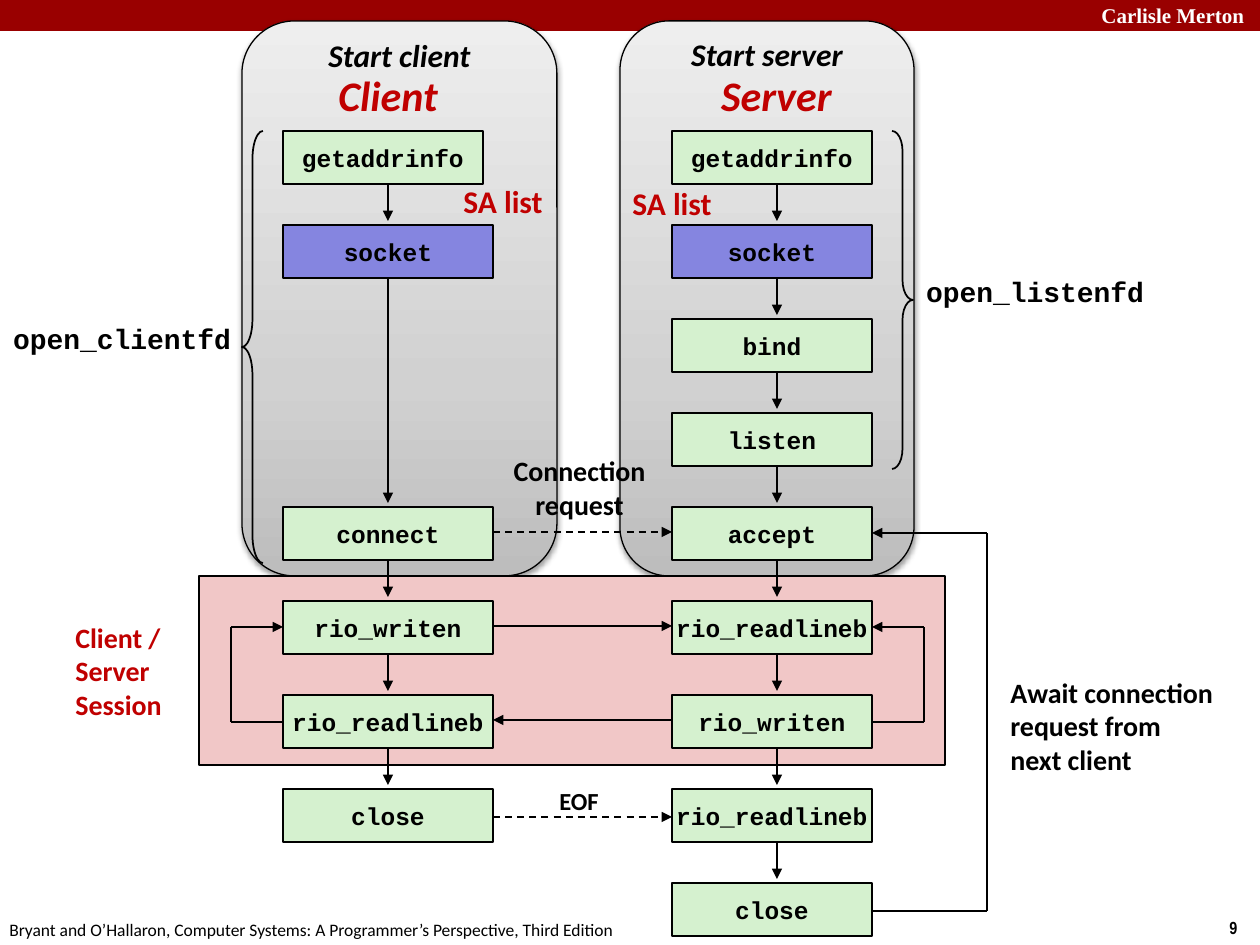
import copy
import itertools
import pptx
import pptx.dml.color
import pptx.enum.dml
import pptx.enum.shapes
import pptx.enum.text
import pptx.oxml.ns
import pptx.util
from lxml import etree

SCALE = 914400 / 126
HUES = {"black": "000000", "white": "FFFFFF", "banner": "990000", "red": "C00000",
        "pink": "F1C7C7", "green": "D5F1CF", "blue": "8585E0"}
SHADES = [(0, "BDBDBD"), (0.35, "D1D1D1"), (1, "EEEEEE")]
SHAPE = pptx.enum.shapes.MSO_SHAPE
ALIGN = pptx.enum.text.PP_ALIGN
ANCHOR = pptx.enum.text.MSO_ANCHOR
QN = pptx.oxml.ns.qn

TOP, STEP, HIGH = 131, 94, 53
CLIENT = {"left": 283, "width": 210, "mid": 388}
SERVER = {"left": 672, "width": 200, "mid": 777}
CALLS = [
    (CLIENT, {0: "getaddrinfo", 1: "socket", 4: "connect", 5: "rio_writen",
              6: "rio_readlineb", 7: "close"}),
    (SERVER, {0: "getaddrinfo", 1: "socket", 2: "bind", 3: "listen", 4: "accept",
              5: "rio_readlineb", 6: "rio_writen", 7: "rio_readlineb", 8: "close"}),
]


def px(count):
    return pptx.util.Emu(round(count * SCALE))


def tint(code):
    return pptx.dml.color.RGBColor.from_string(code)


def row(index):
    return TOP + index * STEP


def write(shape, text, size=16, font="Calibri", hue="black", bold=True, slant=False,
          align=ALIGN.CENTER, anchor=ANCHOR.MIDDLE, wrap=False):
    frame = shape.text_frame
    frame.text = text
    frame.word_wrap = wrap
    frame.vertical_anchor = anchor
    for line in frame.paragraphs:
        line.alignment = align
        style = line.font
        style.size, style.name = pptx.util.Pt(size), font
        style.bold, style.italic = bold, slant
        style.color.rgb = tint(HUES[hue])


def label(slide, text, left, top, width, height, **style):
    frame = slide.shapes.add_textbox(px(left), px(top), px(width), px(height))
    write(frame, text, **style)


def block(slide, kind, left, top, width, height, fill=None, line=1):
    shape = slide.shapes.add_shape(kind, px(left), px(top), px(width), px(height))
    shape.shadow.inherit = False
    if fill:
        shape.fill.solid()
        shape.fill.fore_color.rgb = tint(HUES[fill])
    else:
        shape.fill.background()
    if line:
        shape.line.color.rgb = tint(HUES["black"])
        shape.line.width = pptx.util.Pt(line)
    else:
        shape.line.fill.background()
    return shape


def panel(slide, text, left, width):
    """Rounded, shaded and shadowed column with its heading."""
    shape = block(slide, SHAPE.ROUNDED_RECTANGLE, left, 21, width, 555, line=0.75)
    shape.fill.gradient()
    shape.fill.gradient_angle = 90
    props = shape._element.spPr
    first = props.find(".//" + QN("a:gs"))
    first.addnext(copy.deepcopy(first))
    for stop, (place, code) in zip(shape.fill.gradient_stops, SHADES):
        stop.position = place
        stop.color.rgb = tint(code)
    shade = etree.SubElement(props.find(QN("a:effectLst")), QN("a:outerShdw"),
                             blurRad="40000", dist="20000", dir="5400000", rotWithShape="0")
    color = etree.SubElement(shade, QN("a:srgbClr"), val=HUES["black"])
    etree.SubElement(color, QN("a:alpha"), val="38000")
    write(shape, text, size=18, slant=True, anchor=ANCHOR.TOP, wrap=True)
    shape.text_frame.margin_top = 0


def link(slide, start, end, head=True, dash=False):
    line = slide.shapes.add_connector(pptx.enum.shapes.MSO_CONNECTOR.STRAIGHT,
                                      *map(px, start + end))
    line.line.color.rgb = tint(HUES["black"])
    line.line.width = pptx.util.Pt(1)
    if dash:
        line.line.dash_style = pptx.enum.dml.MSO_LINE.DASH
    if head:
        etree.SubElement(line.line._get_or_add_ln(), QN("a:tailEnd"), type="triangle")
    etree.SubElement(line._element.spPr, QN("a:effectLst"))


def loop(slide, edge, side, low, high):
    """Three lines that leave a box, run up at side, and point back to the edge."""
    points = [(edge, low), (side, low), (side, high), (edge, high)]
    for index, (start, end) in enumerate(itertools.pairwise(points)):
        link(slide, start, end, head=index == 2)


def chain(slide, lane, calls):
    """Boxes of one column, over the arrows that join them."""
    for start, end in itertools.pairwise(calls):
        link(slide, (lane["mid"], row(start) + 47), (lane["mid"], row(end) - 4))
    for index, name in calls.items():
        width = lane["width"] if index else SERVER["width"]
        box = block(slide, SHAPE.RECTANGLE, lane["left"], row(index), width, HIGH,
                    fill="blue" if name == "socket" else "green")
        write(box, name, size=14, font="Courier New")


def brace(slide, kind, left, height, bend):
    shape = block(slide, kind, left, TOP, 21, height)
    shape.adjustments[0] = bend


def frame(slide):
    """Banner and footer."""
    block(slide, SHAPE.RECTANGLE, 0, 0, 1260, 31, fill="banner", line=0)
    style = {"align": ALIGN.LEFT, "anchor": ANCHOR.TOP}
    label(slide, "Carlisle Merton", 1089, -4, 180, 38, size=12,
          font="Times New Roman", hue="white", **style)
    label(slide, "9", 1217, 911, 43, 34, size=10, font="Arial Narrow", **style)
    label(slide, "Bryant and O’Hallaron, Computer Systems: "
          "A Programmer’s Perspective, Third Edition",
          -3, 913, 640, 34, size=10, bold=False, **style)


def notes(slide):
    """Labels around the boxes."""
    for text, left, width in (("Client", 325, 126), ("Server", 708, 137)):
        label(slide, text, left, 63, width, 63, size=24, hue="red", slant=True)
    for left, top in ((620, 178), (451, 176)):
        label(slide, "SA list", left, top, 106, 50, size=18, hue="red",
              align=ALIGN.LEFT, anchor=ANCHOR.TOP)
    for text, left, top in (("open_listenfd", 913, 268), ("open_clientfd", 0, 315)):
        label(slide, text, left, top, 244, 47, font="Courier New")
    label(slide, "Connection\nrequest", 500, 447, 159, 81)
    label(slide, "EOF", 546, 779, 66, 43, size=14)
    label(slide, "Client / Server\nSession", 63, 614, 116, 113, hue="red",
          align=ALIGN.LEFT, wrap=True)
    label(slide, "Await connection\nrequest from\nnext client", 998, 668, 231, 115,
          align=ALIGN.LEFT)


def main():
    deck = pptx.Presentation()
    deck.slide_width, deck.slide_height = px(1260), px(945)
    slide = deck.slides.add_slide(deck.slide_layouts[6])
    frame(slide)
    panel(slide, "Start client", 242, 315)
    panel(slide, "Start server", 620, 294)
    block(slide, SHAPE.RECTANGLE, 199, 576, 746, 189, fill="pink")

    near = CLIENT["left"] + CLIENT["width"]
    far = SERVER["left"]
    edge = far + SERVER["width"]
    loop(slide, edge, 924, 722, 627)
    loop(slide, CLIENT["left"], 231, 722, 627)
    loop(slide, edge, 987, 911, 533)
    for height in (532, 817):
        link(slide, (420, height), (far, height), dash=True)
    link(slide, (near, 626), (far, 626))
    link(slide, (far, 720), (near, 720))

    brace(slide, SHAPE.RIGHT_BRACE, 892, 338, 0.96)
    brace(slide, SHAPE.LEFT_BRACE, 242, 432, 1.33)
    for lane, calls in CALLS:
        chain(slide, lane, calls)
    notes(slide)
    deck.save("out.pptx")


if __name__ == "__main__":
    main()
